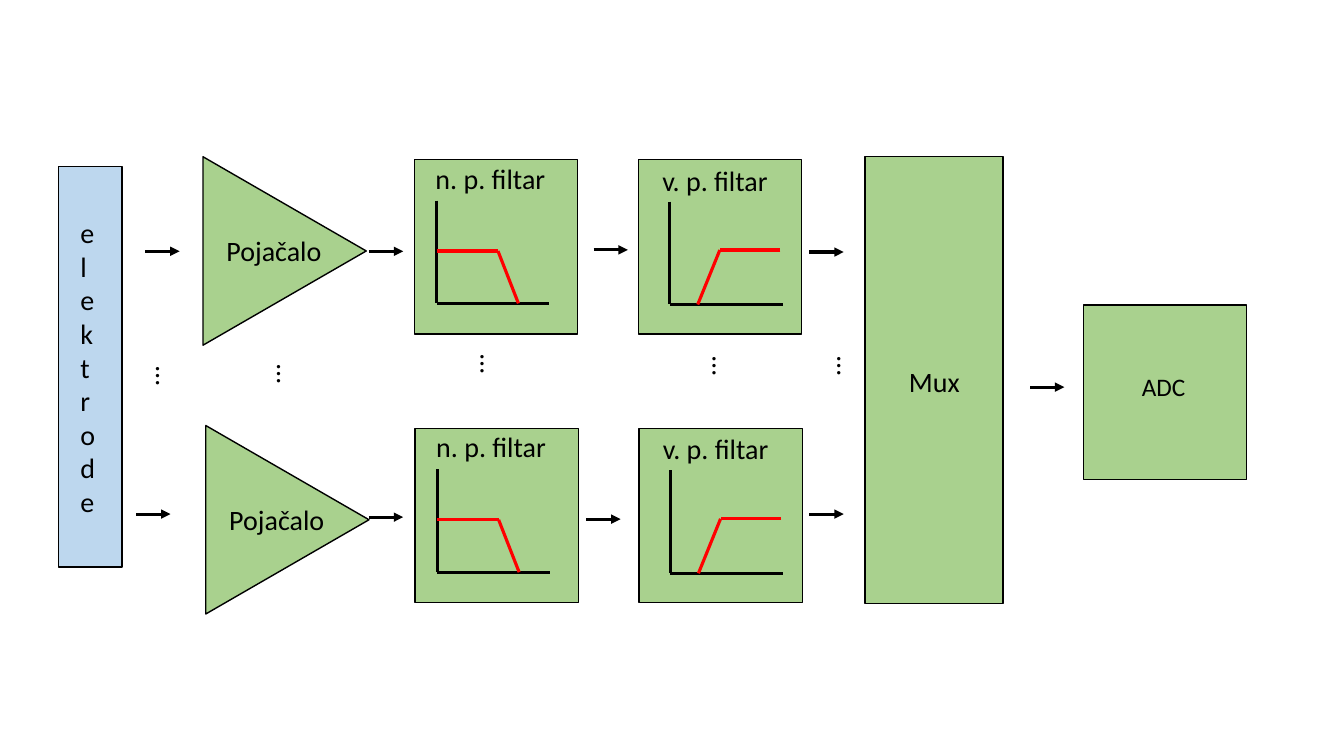
from lxml import etree
from pptx import Presentation
from pptx.dml.color import RGBColor
from pptx.enum import shapes, text
from pptx.oxml.ns import qn
from pptx.util import Pt

BLACK, RED, GREEN, BLUE = "000000", "FF0000", "A9D18E", "BDD7EE"
RECT = shapes.MSO_SHAPE.RECTANGLE
TRI = shapes.MSO_SHAPE.ISOSCELES_TRIANGLE

deck = Presentation()
deck.slide_width, deck.slide_height = Pt(960), Pt(540)
slide = deck.slides.add_slide(deck.slide_layouts[6])
tree = slide.shapes


def put(kind, box, look, turn=0):
    """Add a filled shape (look is a colour) or, if kind is None, a label (look is words and size)."""
    box = [Pt(n) for n in box]
    if kind is None:
        item = tree.add_textbox(*box)
        frame = item.text_frame
        frame.word_wrap = True
        frame.auto_size = text.MSO_AUTO_SIZE.SHAPE_TO_FIT_TEXT
        run = frame.paragraphs[0].add_run()
        run.text, size = look
        for key, val in {"name": "Calibri", "size": Pt(size)}.items():
            setattr(run.font, key, val)
        run.font.color.rgb = RGBColor.from_string(BLACK)
    else:
        item = tree.add_shape(kind, *box)
        item.shadow.inherit = False
        item.fill.solid()
        item.fill.fore_color.rgb = RGBColor.from_string(look)
        item.line.color.rgb = RGBColor.from_string(BLACK)
        item.line.width = Pt(1)
    item.rotation = turn


def draw(points, color, arrow=False):
    """Join the points by straight lines."""
    for start, end in zip(points, points[1:]):
        line = tree.add_connector(shapes.MSO_CONNECTOR.STRAIGHT,
                                  *[Pt(n) for n in (*start, *end)])
        line.line.color.rgb = RGBColor.from_string(color)
        line.line.width = Pt(2.25)
        props = line._element.spPr
        if arrow:
            etree.SubElement(props.find(qn("a:ln")), qn("a:tailEnd"), type="triangle")
        etree.SubElement(props, qn("a:effectLst"))


# Electrodes, multiplexer and converter
put(RECT, (41.8, 119, 45.4, 286), BLUE)
put(None, (50.4, 150.5, 25.9, 225.4), ("elektrode", 20))
put(RECT, (617.8, 112, 98.6, 319), GREEN)
put(None, (642.2, 257, 105.8, 31.7), ("Mux", 20))
put(RECT, (774, 218, 116.6, 124.6), GREEN)
put(None, (808.6, 261.4, 105.8, 28.8), ("ADC", 18))

# Filters: box left, label left and top, words, axes, response
filters = [
    (296, 304, 111.6, "n. p. filtar",
     [(312, 143.3), (312, 216.7), (392.5, 216.7)],
     [(312, 179.3), (355.7, 179.3), (370.3, 216.7)]),
    (456, 466, 113, "v. p. filtar",
     [(478.4, 144), (478.4, 217.5), (559, 217.5)],
     [(557.5, 178.6), (514.2, 178.6), (498.4, 217.5)]),
]

# Two equal channels
for down, side in ((0, 0), (192, 2)):
    put(TRI, (136 + side, 121 + down, 134.6, 116.6), GREEN, 90)
    put(None, (154.6 + side, 163.3 + down, 85.7, 31.7), ("Pojačalo", 20))
    for left, x, y, words, axes, curve in filters:
        put(RECT, (left + side / 4, 114 + down, 116.6, 124.6), GREEN)
        put(None, (x + side / 4, y + down, 105.8, 31.7), (words, 20))
        for points, color in ((axes, BLACK), (curve, RED)):
            draw([(a + side / 4, b + down) for a, b in points], color)

for x, y in ((180.7, 262), (326.2, 255), (491.8, 256.3), (94.3, 263.5), (581, 256.3)):
    put(None, (x, y, 49.7, 31.7), ("…", 20), 90)

arrows = [(103.8, 179.5), (97.3, 367.2), (263.5, 179.5), (263.5, 369.4), (424, 178.5),
          (418.8, 370.8), (578.2, 180), (578.2, 367.2), (735.8, 276.5)]
for x, y in arrows:
    draw([(x, y), (x + 24.5, y)], BLACK, True)

deck.save("out.pptx")
